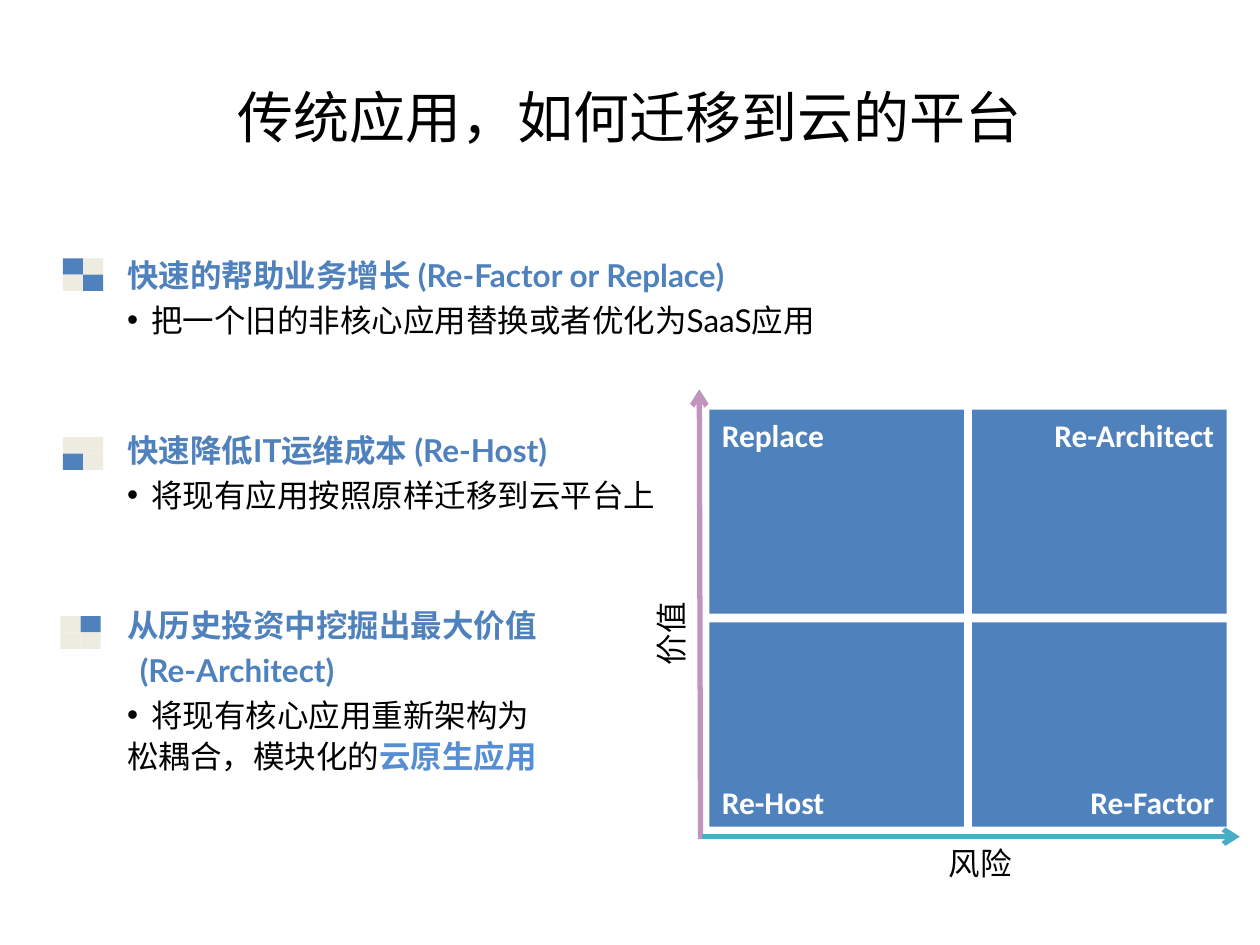
from dataclasses import dataclass

from lxml import etree
from pptx import Presentation
from pptx.dml.color import RGBColor
from pptx.enum.shapes import MSO_CONNECTOR, MSO_SHAPE
from pptx.enum.text import MSO_ANCHOR, PP_ALIGN
from pptx.oxml.ns import qn
from pptx.util import Inches, Pt

RECT, STRAIGHT = MSO_SHAPE.RECTANGLE, MSO_CONNECTOR.STRAIGHT
LEFT, CENTER, RIGHT = PP_ALIGN.LEFT, PP_ALIGN.CENTER, PP_ALIGN.RIGHT
TOP, MIDDLE, BOTTOM = MSO_ANCHOR.TOP, MSO_ANCHOR.MIDDLE, MSO_ANCHOR.BOTTOM
SLIDE_W, SLIDE_H = Inches(10), Inches(7.5)
COLUMN, ROW = SLIDE_W / 100, SLIDE_H / 75


@dataclass(frozen=True)
class Theme:
    """Colours, fonts and type sizes of the slide."""
    ink: str = "000000"
    white: str = "FFFFFF"
    blue: str = "4F81BD"
    sand: str = "EEECE1"
    accent: str = "558ED5"
    value_axis: str = "C094BF"
    risk_axis: str = "4BACC6"
    label_font: str = "Calibri"
    body_font: str = "Lato"
    title_size: int = 32
    text_size: int = 18
    axis_width: int = 3


THEME = Theme()


@dataclass(frozen=True)
class Box:
    """An area in columns and rows of the slide grid."""
    left: float
    top: float
    width: float
    height: float

    def inner(self, left, top, width, height):
        """Return an area offset from this one's corner."""
        return Box(self.left + left, self.top + top, width, height)

    def emu(self):
        """Return left, top, width and height as lengths."""
        return (int(self.left * COLUMN), int(self.top * ROW),
                int(self.width * COLUMN), int(self.height * ROW))


def apply(target, **values):
    """Set each named attribute on the target."""
    for name, value in values.items():
        setattr(target, name, value)


def write(paragraph, text, color, bold=False, font=THEME.label_font, size=THEME.text_size):
    """Add a formatted run to a paragraph."""
    run = paragraph.add_run()
    run.text = text
    apply(run.font, name=font, size=Pt(size), bold=bold)
    run.font.color.rgb = RGBColor.from_string(color)


def add_tile(shapes, box, color):
    """Add a plain filled rectangle."""
    tile = shapes.add_shape(RECT, *box.emu())
    tile.shadow.inherit = False
    tile.fill.solid()
    tile.fill.fore_color.rgb = RGBColor.from_string(color)
    tile.line.fill.background()
    return tile


def add_axis(shapes, box, color):
    """Add an arrow from the box's corner across its extent."""
    left, top, width, height = box.emu()
    axis = shapes.add_connector(STRAIGHT, left, top, left + width, top + height)
    axis.line.color.rgb = RGBColor.from_string(color)
    axis.line.width = Pt(THEME.axis_width)
    etree.SubElement(axis.line._get_or_add_ln(), qn("a:tailEnd"), type="arrow")
    etree.SubElement(axis._element.spPr, qn("a:effectLst"))


def add_axis_label(shapes, box, text, rotation=0):
    """Add a centred axis name."""
    label = shapes.add_textbox(*box.emu())
    label.rotation = rotation
    label.text_frame.word_wrap = True
    paragraph = label.text_frame.paragraphs[0]
    paragraph.alignment = CENTER
    write(paragraph, text, THEME.ink)


def place_title(slide, box, text):
    """Move and format the title placeholder."""
    title = slide.shapes.title
    apply(title, **dict(zip(("left", "top", "width", "height"), box.emu())))
    title.text_frame.vertical_anchor = MIDDLE
    paragraph = title.text_frame.paragraphs[0]
    paragraph.alignment = CENTER
    write(paragraph, text, THEME.ink, size=THEME.title_size)


def indent(paragraph, margin, hanging=0, bullet=None):
    """Set a paragraph's margin, first-line offset and bullet."""
    properties = paragraph._p.get_or_add_pPr()
    properties.set("marL", str(Inches(margin)))
    properties.set("indent", str(Inches(-hanging)))
    if bullet:
        etree.SubElement(properties, qn("a:buFont"), typeface="Arial")
        etree.SubElement(properties, qn("a:buChar"), char=bullet)


def place_goals(slide, box, goals):
    """Write the migration goals, each a heading with its details."""
    frame = slide.shapes.add_textbox(*box.emu()).text_frame
    apply(frame, word_wrap=True, margin_left=0, margin_top=0, margin_right=0, margin_bottom=0)
    paragraph = frame.paragraphs[0]
    for number, (heading, strategy, detail, ending) in enumerate(goals):
        if number:
            paragraph = frame.add_paragraph()
            paragraph.space_before = Pt(51)
        paragraph.space_after = Pt(4)
        write(paragraph, heading, THEME.blue, True, THEME.body_font)
        if strategy:
            paragraph = frame.add_paragraph()
            paragraph.space_after = Pt(4)
            indent(paragraph, 0.1)
            write(paragraph, strategy, THEME.blue, True, THEME.body_font)
        paragraph = frame.add_paragraph()
        apply(paragraph, level=1, space_after=Pt(2))
        indent(paragraph, 0.19, 0.19, "•")
        write(paragraph, detail, THEME.ink, font=THEME.body_font)
        if ending:
            paragraph = frame.add_paragraph()
            apply(paragraph, level=1, space_after=Pt(2))
            indent(paragraph, 0)
            for text, color, bold in ending:
                write(paragraph, text, color, bold, THEME.body_font)


def place_matrix(slide, box, quadrants):
    """Draw the value and risk matrix with its axes."""
    shapes = slide.shapes.add_group_shape().shapes
    for row, (names, anchor) in enumerate(zip(quadrants, (TOP, BOTTOM))):
        for column, (name, alignment) in enumerate(zip(names, (LEFT, RIGHT))):
            area = box.inner(5.1 + 20.85 * column, 1.6 + 16.9 * row, 20.2, 16.2)
            tile = add_tile(shapes, area, THEME.blue)
            apply(tile.text_frame, vertical_anchor=anchor, word_wrap=True)
            paragraph = tile.text_frame.paragraphs[0]
            paragraph.alignment = alignment
            write(paragraph, name, THEME.white, True)
    add_axis_label(shapes, box.inner(-12.3, 17.4, 28.7, 4), "价值", 270)
    add_axis(shapes, box.inner(4.4, 35.7, -0.1, -35.7), THEME.value_axis)
    add_axis(shapes, box.inner(4.5, 35.5, 42.7, 0), THEME.risk_axis)
    add_axis_label(shapes, box.inner(9.7, 35.6, 33.8, 4), "风险")


def place_icon(slide, box, marked):
    """Draw a small two by two matrix with the marked cells in blue."""
    shapes = slide.shapes.add_group_shape().shapes
    width, height = box.width / 2, box.height / 2
    for row in range(2):
        for column in range(2):
            color = THEME.blue if (row, column) in marked else THEME.sand
            add_tile(shapes, box.inner(column * width, row * height, width, height), color)


def build():
    """Build and save the slide."""
    deck = Presentation()
    apply(deck, slide_width=SLIDE_W, slide_height=SLIDE_H)
    slide = deck.slides.add_slide(deck.slide_layouts[5])
    place_title(slide, Box(5, 3, 90, 12.5), "传统应用，如何迁移到云的平台")
    place_goals(slide, Box(10.1, 20.3, 79.1, 35.3), [
        ("快速的帮助业务增长 (Re-Factor or Replace)", None,
         "把一个旧的非核心应用替换或者优化为SaaS应用", None),
        ("快速降低IT运维成本 (Re-Host)", None, "将现有应用按照原样迁移到云平台上", None),
        ("从历史投资中挖掘出最大价值", "(Re-Architect)", "将现有核心应用重新架构为",
         [("松耦合，模块化的", THEME.ink, False), ("云原生应用", THEME.accent, True)]),
    ])
    place_matrix(slide, Box(51.2, 30.9, 47.2, 39.6),
                 [("Replace", "Re-Architect"), ("Re-Host", "Re-Factor")])
    icons = [(5, {(0, 0), (1, 1)}), (5, {(1, 0)}), (4.8, {(0, 1)})]
    for number, (left, marked) in enumerate(icons):
        place_icon(slide, Box(left, 20.5 + 14.2 * number, 3.2, 2.6), marked)
    deck.save("out.pptx")


if __name__ == "__main__":
    build()
